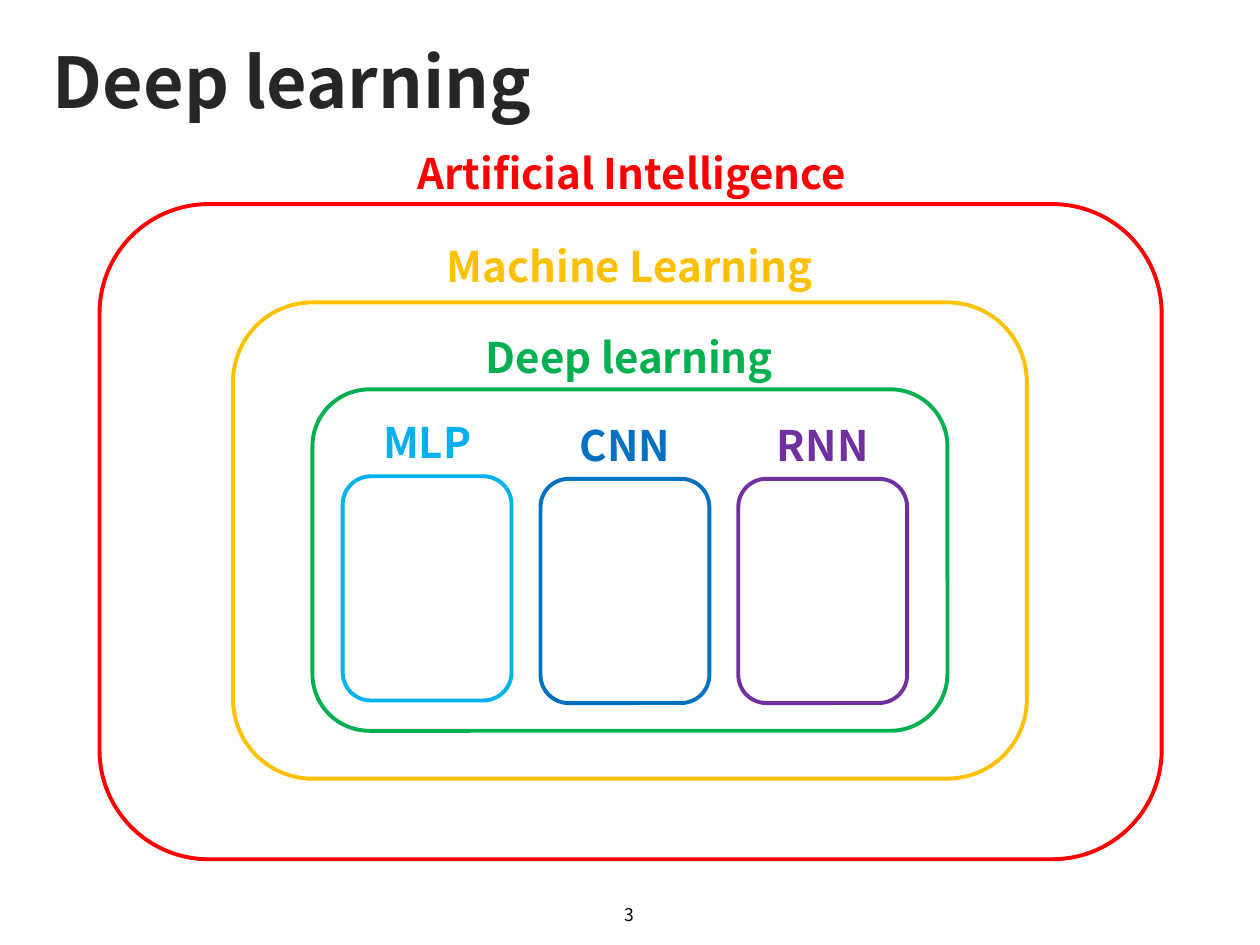
from pptx import Presentation
from pptx.dml.color import RGBColor
from pptx.enum import shapes, text
from pptx.util import Inches, Pt

COLORS = {
    "title": "262626",
    "page": "000000",
    "ai": "FF0000",
    "machine": "FFC000",
    "deep": "00B050",
    "mlp": "00B0F0",
    "cnn": "0070C0",
    "rnn": "7030A0",
}


class SlideBuilder:
    font_name = "Noto Sans CJK KR"
    line_width = Pt(2.25)
    label_height = 0.5

    def __init__(self, page):
        self.page = page

    def set_text(self, shape, words, size, color, bold, align, anchor):
        frame = shape.text_frame
        frame.word_wrap = True
        frame.auto_size = text.MSO_AUTO_SIZE.NONE
        frame.vertical_anchor = anchor
        para = frame.paragraphs[0]
        para.text = words
        para.alignment = align
        para.font.name = self.font_name
        para.font.size = Pt(size)
        para.font.bold = bold
        para.font.color.rgb = RGBColor.from_string(COLORS[color])

    def title(self, words, left, top, width, height):
        shape = self.page.shapes.title
        shape.left, shape.top = Inches(left), Inches(top)
        shape.width, shape.height = Inches(width), Inches(height)
        self.set_text(shape, words, 40, "title", True,
                      text.PP_ALIGN.LEFT, text.MSO_ANCHOR.MIDDLE)

    def label(self, words, left, top, width, height, color, size=24,
              bold=True, anchor=text.MSO_ANCHOR.TOP):
        box = self.page.shapes.add_textbox(
            Inches(left), Inches(top), Inches(width), Inches(height))
        self.set_text(box, words, size, color, bold,
                      text.PP_ALIGN.CENTER, anchor)

    def outline(self, left, top, width, height, color):
        box = self.page.shapes.add_shape(
            shapes.MSO_SHAPE.ROUNDED_RECTANGLE,
            Inches(left), Inches(top), Inches(width), Inches(height))
        box.shadow.inherit = False
        box.fill.background()
        box.line.width = self.line_width
        box.line.color.rgb = RGBColor.from_string(COLORS[color])

    def field(self, words, color, frame, label_left, label_top, label_width):
        """Draw a rounded outline with its name above it."""
        self.outline(*frame, color)
        self.label(words, label_left, label_top, label_width,
                   self.label_height, color)


def main():
    deck = Presentation()
    deck.slide_width, deck.slide_height = Inches(10), Inches(7.5)
    builder = SlideBuilder(deck.slides.add_slide(deck.slide_layouts[5]))

    builder.title("Deep learning", 0.32, 0.28, 9.38, 0.72)
    builder.label("3", 3.83, 7.06, 2.33, 0.4, "page", size=10, bold=False,
                  anchor=text.MSO_ANCHOR.MIDDLE)

    nested_fields = [
        ("Artificial Intelligence", "ai", (0.79, 1.62, 8.43, 5.2), 3.05, 1.12),
        ("Machine Learning", "machine", (1.85, 2.4, 6.3, 3.78), 3.03, 1.86),
        ("Deep learning", "deep", (2.48, 3.09, 5.04, 2.71), 3.03, 2.58),
    ]
    for words, color, frame, label_left, label_top in nested_fields:
        builder.field(words, color, frame, label_left, label_top, 3.93)

    network_width, network_height, network_gap = 1.34, 1.78, 0.23
    networks = [("MLP", "mlp", 3.78), ("CNN", "cnn", 3.8), ("RNN", "rnn", 3.8)]
    for index, (words, color, top) in enumerate(networks):
        left = 2.72 + index * (network_width + network_gap)
        builder.field(words, color, (left, top, network_width, network_height),
                      left, top - 0.52, network_width)

    deck.save("out.pptx")


if __name__ == "__main__":
    main()
